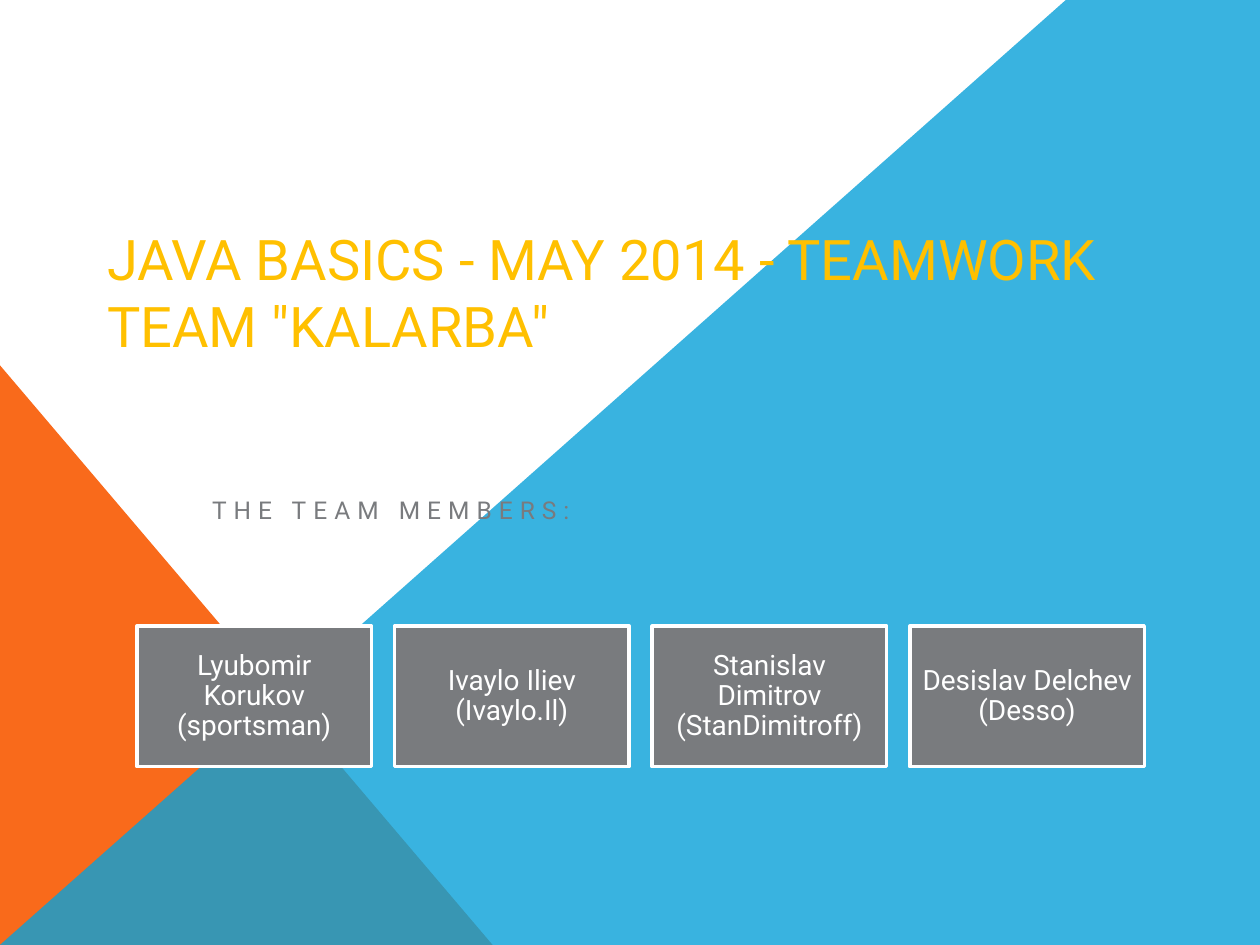
from lxml.etree import SubElement
from pptx import Presentation
from pptx.dml.color import RGBColor
from pptx.enum.shapes import MSO_SHAPE
from pptx.enum.text import MSO_ANCHOR, MSO_AUTO_SIZE, PP_ALIGN
from pptx.oxml.ns import qn
from pptx.util import Pt

TITLE = 'JAVA BASICS - MAY 2014 - TEAMWORK\vTEAM "KALARBA"'
SUBTITLE = "THE TEAM MEMBERS:"
MEMBERS = [
    "Lyubomir Korukov (sportsman)",
    "Ivaylo Iliev (Ivaylo.Il)",
    "Stanislav Dimitrov (StanDimitroff)",
    "Desislav Delchev (Desso)",
]
COLORS = {"white": "FFFFFF", "orange": "F96A1B", "blue": "08A1D9",
          "gold": "FFC000", "gray": "797B7E"}
FONT = "Roboto"
WIDTH, HEIGHT = 720, 540
CARD_LEFT, CARD_TOP, CARD_WIDTH, CARD_HEIGHT = 78.3, 357.8, 134, 80.4
CARD_STEP = 147.2


def color(name):
    """Return a named colour."""
    return RGBColor.from_string(COLORS[name])


def place(shape, left, top, width, height):
    """Set a shape's position and size in points."""
    shape.left, shape.top = Pt(left), Pt(top)
    shape.width, shape.height = Pt(width), Pt(height)


def set_text(shape, text, size, color_name, align, anchor, insets):
    """Write one formatted paragraph and return it."""
    frame = shape.text_frame
    frame.text = text
    frame.word_wrap = True
    frame.auto_size = MSO_AUTO_SIZE.NONE
    frame.vertical_anchor = anchor
    (frame.margin_left, frame.margin_top,
     frame.margin_right, frame.margin_bottom) = map(Pt, insets)
    paragraph = frame.paragraphs[0]
    paragraph.alignment = align
    font = paragraph.font
    font.name, font.size = FONT, Pt(size)
    font.color.rgb = color(color_name)
    return paragraph


def fill_plain(shape, color_name):
    """Give a shape a flat fill without outline or shadow."""
    shape.shadow.inherit = False
    shape.fill.solid()
    shape.fill.fore_color.rgb = color(color_name)
    shape.line.fill.background()


def add_backdrop(slide):
    """Draw the orange triangle and the translucent blue area at the back."""
    triangle = slide.shapes.add_shape(
        MSO_SHAPE.RIGHT_TRIANGLE, 0, Pt(208.8), Pt(281.5), Pt(331.2))
    fill_plain(triangle, "orange")
    builder = slide.shapes.build_freeform(0, Pt(HEIGHT))
    corners = [(609.1, 0), (WIDTH, 0), (WIDTH, HEIGHT)]
    builder.add_line_segments([(Pt(x), Pt(y)) for x, y in corners], close=True)
    area = builder.convert_to_shape()
    fill_plain(area, "blue")
    fill_color = area.fill._xPr.find(qn("a:solidFill"))[0]
    SubElement(fill_color, qn("a:alpha"), val="80000")
    for index, shape in enumerate((triangle, area), start=2):
        slide.shapes._spTree.insert(index, shape._element)


def add_card(slide, index, member):
    """Draw one team member's card."""
    card = slide.shapes.add_shape(MSO_SHAPE.RECTANGLE, 0, 0, 0, 0)
    place(card, CARD_LEFT + index * CARD_STEP, CARD_TOP, CARD_WIDTH, CARD_HEIGHT)
    fill_plain(card, "gray")
    card.line.color.rgb = color("white")
    card.line.width = Pt(2)
    paragraph = set_text(card, member, 16, "white", PP_ALIGN.CENTER,
                         MSO_ANCHOR.MIDDLE, (4.8, 4.8, 4.8, 4.8))
    paragraph.line_spacing = 0.9


presentation = Presentation()
presentation.slide_width, presentation.slide_height = Pt(WIDTH), Pt(HEIGHT)
slide = presentation.slides.add_slide(presentation.slide_layouts[0])
add_backdrop(slide)

title, subtitle = slide.placeholders
place(title, 54, 90, 612, 116)
set_text(title, TITLE, 32, "gold", PP_ALIGN.LEFT,
         MSO_ANCHOR.BOTTOM, (7.2, 3.6, 7.2, 0.7))

place(subtitle, 114, 282, 504, 66)
heading = set_text(subtitle, SUBTITLE, 14, "gray", PP_ALIGN.LEFT,
                   MSO_ANCHOR.TOP, (7.2, 0.7, 7.2, 3.6))
heading.space_before = Pt(8)
heading.runs[0]._r.get_or_add_rPr().set("spc", "400")

for index, member in enumerate(MEMBERS):
    add_card(slide, index, member)

presentation.save("out.pptx")
